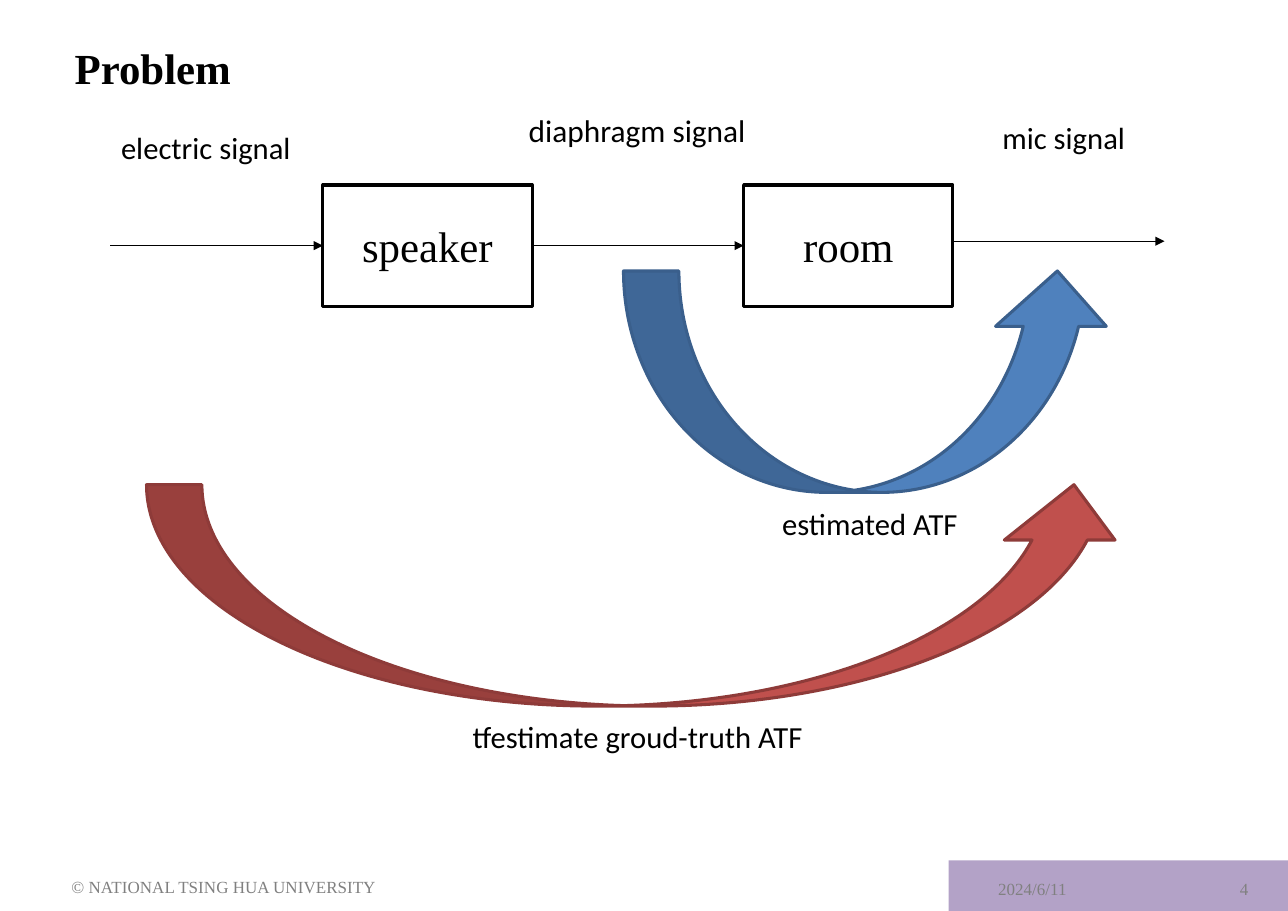
from pptx import Presentation
from pptx import util as u
from pptx.dml.color import RGBColor
from pptx.enum import shapes, text
from pptx.oxml.ns import qn
from lxml import etree

COLORS = {
    "black": "000000", "grey": "808080", "purple": "B3A2C7",
    "blue": "4F81BD", "blue_edge": "3A5F8C",
    "red": "C0504D", "red_edge": "8E3B39",
}
SERIF, SANS = "Times New Roman", "Calibri"
LEFT, CENTER, RIGHT = text.PP_ALIGN.LEFT, text.PP_ALIGN.CENTER, text.PP_ALIGN.RIGHT
TOP, MIDDLE = text.MSO_ANCHOR.TOP, text.MSO_ANCHOR.MIDDLE
RECT, CURVED = shapes.MSO_SHAPE.RECTANGLE, shapes.MSO_SHAPE.CURVED_UP_ARROW


class Sketch:
    """Draws styled elements on one slide."""

    def __init__(self, slide):
        self.slide = slide

    @staticmethod
    def color(name):
        return RGBColor.from_string(COLORS[name])

    def fill_text(self, sp, words, size, font=SERIF, color="black", bold=False,
                  align=LEFT, anchor=MIDDLE, spacing=None):
        tf = sp.text_frame
        tf.word_wrap = True
        tf.vertical_anchor = anchor
        p = tf.paragraphs[0]
        p.alignment = align
        if spacing:
            p.line_spacing = u.Pt(spacing)
        r = p.add_run()
        r.text = words
        r.font.size, r.font.name, r.font.bold = u.Pt(size), font, bold
        r.font.color.rgb = self.color(color)

    def label(self, box, words, size, **style):
        sp = self.slide.shapes.add_textbox(*map(u.Inches, box))
        self.fill_text(sp, words, size, **style)

    def shape(self, kind, box, fill=None, line=None):
        sp = self.slide.shapes.add_shape(kind, *map(u.Inches, box))
        sp.shadow.inherit = False
        if fill:
            sp.fill.solid()
            sp.fill.fore_color.rgb = self.color(fill)
        else:
            sp.fill.background()
        if line:
            sp.line.color.rgb = self.color(line)
            sp.line.width = u.Pt(2)
        else:
            sp.line.fill.background()
        return sp

    def arrow(self, x, y, length):
        ends = map(u.Inches, (x, y, x + length, y))
        cx = self.slide.shapes.add_connector(shapes.MSO_CONNECTOR.STRAIGHT, *ends)
        cx.line.color.rgb = self.color("black")
        cx.line.width = u.Pt(0.75)
        props = cx._element.spPr
        etree.SubElement(props.find(qn("a:ln")), qn("a:tailEnd"), type="triangle")
        etree.SubElement(props, qn("a:effectLst"))


def main():
    prs = Presentation()
    prs.slide_width, prs.slide_height = u.Inches(11.69), u.Inches(8.27)
    s = Sketch(prs.slides.add_slide(prs.slide_layouts[6]))

    # Footer band and title
    s.shape(RECT, (8.61, 7.81, 3.08, 0.46), fill="purple")
    s.label((0.58, 0.24, 7.79, 0.69), "Problem", 28, bold=True, spacing=36.9)

    # Footer texts
    for box, words, align in (
        ((8.96, 7.87, 1.38, 0.39), "2024/6/11", LEFT),
        ((0.55, 7.85, 3.19, 0.39), "© NATIONAL TSING HUA UNIVERSITY", LEFT),
        ((10.52, 7.87, 0.91, 0.39), "4", RIGHT),
    ):
        s.label(box, words, 11.1, color="grey", align=align)

    # Signal chain: blocks and the arrows between them
    for x, words in ((2.93, "speaker"), (6.75, "room")):
        block = s.shape(RECT, (x, 1.68, 1.9, 1.1), line="black")
        s.fill_text(block, words, 28, align=CENTER)
    for x, y in ((1, 2.23), (4.82, 2.23), (8.64, 2.19)):
        s.arrow(x, y, 1.93)

    # Transfer function arrows
    s.shape(CURVED, (5.66, 2.46, 4.44, 2.01), "blue", "blue_edge")
    s.shape(CURVED, (1.33, 4.4, 8.92, 2.01), "red", "red_edge")

    # Signal and transfer function labels
    for x, y, width, words, size in (
        (1, 1.12, 1.92, "electric signal", 20),
        (4.7, 0.96, 2.38, "diaphragm signal", 20.5),
        (9, 1.03, 1.73, "mic signal", 20),
        (7, 4.53, 2.08, "estimated ATF", 20),
        (4.19, 6.47, 3.85, "tfestimate groud-truth ATF", 20),
    ):
        s.label((x, y, width, 0.45), words, size, font=SANS, anchor=TOP)

    prs.save("out.pptx")


if __name__ == "__main__":
    main()
